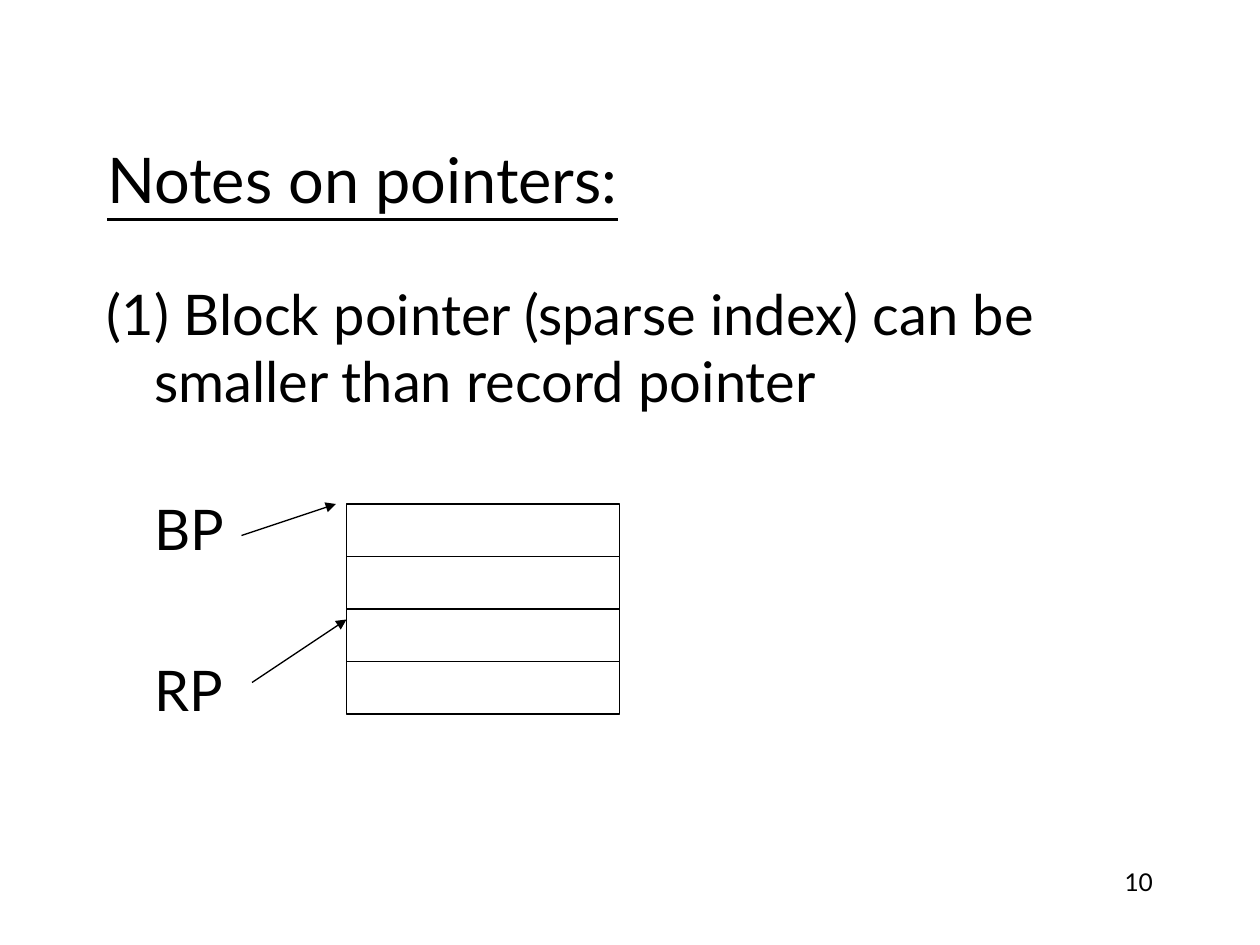
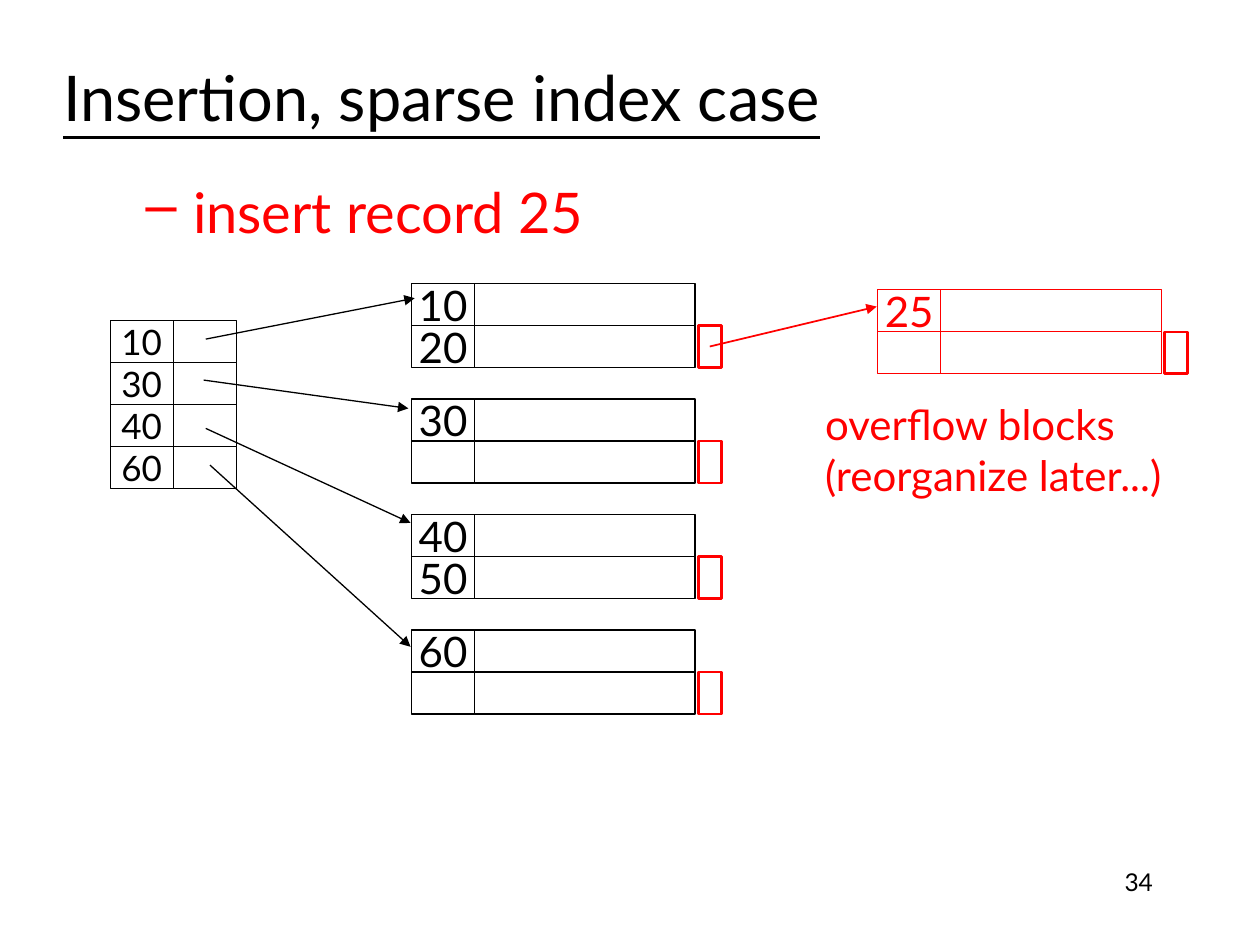
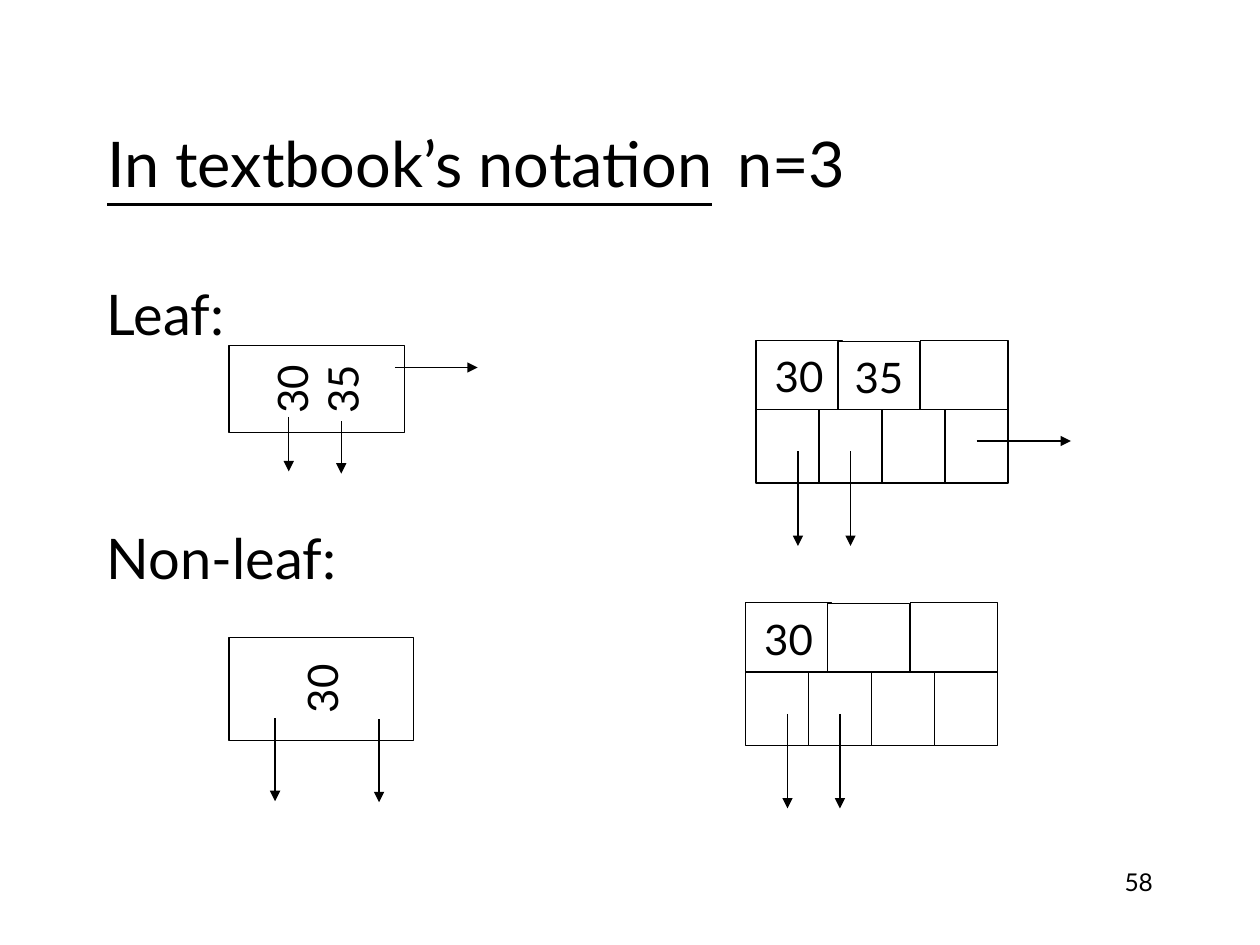
from dataclasses import dataclass
from typing import Any

from lxml.etree import SubElement
from pptx import Presentation
from pptx.dml.color import RGBColor
from pptx.enum.shapes import MSO_CONNECTOR as CONN, MSO_SHAPE as SHAPE
from pptx.enum.text import MSO_ANCHOR as ANCHOR, MSO_AUTO_SIZE as FIT, PP_ALIGN as ALIGN
from pptx.oxml.ns import qn
from pptx.util import Emu, Pt

# Shared look
PX = 7620  # EMU per px, 120 px to the inch
FONT = "Lato"
BLACK, RED, WHITE = "000000", "FF0000", "FFFFFF"
TITLE_ONLY = 5
NUMBER_BOX = (860, 820, 250, 60)
BODY_BOX = (90, 260, 1020, 540)
HANG = 45
ROW = 40  # height of one record on the insertion slide
KEY_W, RECORD_W = 60, 210

Box = tuple[int, int, int, int]


@dataclass
class Para:
    text: str
    size: int = 32
    color: str = BLACK
    underline: bool = False
    align: ALIGN = ALIGN.LEFT
    before: int = 0
    left: int = 0
    indent: int = 0
    bullet: str = ""
    tab: int = 0
    tail: str = ""  # plain text set at the tab stop


@dataclass
class Cell:
    box: Box
    lines: tuple[str, ...] = ()
    size: int = 24
    color: str = BLACK
    weight: float = 0.75
    rotation: int = 0


@dataclass
class Arrow:
    x1: int
    y1: int
    x2: int
    y2: int
    color: str = BLACK
    weight: float = 0.75


def px(n: int) -> Emu:
    return Emu(n * PX)


def rgb(color: str) -> RGBColor:
    return RGBColor.from_string(color)


def apply(obj: Any, values: dict[str, Any]) -> None:
    for name, value in values.items():
        setattr(obj, name, value)


# Text
def add_run(p: Any, text: str, para: Para, underline: bool) -> None:
    r = p.add_run()
    r.text = text
    apply(r.font, {"name": FONT, "size": Pt(para.size), "underline": underline})
    r.font.color.rgb = rgb(para.color)


def fill_text(tf: Any, paras: list[Para], anchor: ANCHOR, wrap: bool = True) -> None:
    apply(tf, {"auto_size": FIT.NONE, "word_wrap": wrap, "vertical_anchor": anchor})
    for i, para in enumerate(paras):
        p = tf.add_paragraph() if i else tf.paragraphs[0]
        apply(p, {"alignment": para.align, "space_before": Pt(para.before)})
        pPr = p._p.get_or_add_pPr()
        pPr.set("marL", str(px(para.left)))
        pPr.set("indent", str(px(para.indent)))
        if para.bullet:
            clr = SubElement(pPr, qn("a:buClr"))
            SubElement(clr, qn("a:srgbClr"), val=para.color)
            SubElement(pPr, qn("a:buChar"), char=para.bullet)
        if para.tab:
            tabs = SubElement(pPr, qn("a:tabLst"))
            SubElement(tabs, qn("a:tab"), pos=str(px(para.tab)), algn="l")
        add_run(p, para.text, para, para.underline)
        if para.tail:
            add_run(p, "\t" + para.tail, para, False)


def add_text(s: Any, box: Box, paras: list[Para], anchor: ANCHOR = ANCHOR.TOP) -> None:
    sp = s.shapes.add_textbox(*map(px, box))
    fill_text(sp.text_frame, paras, anchor)


# Shapes
def add_cell(s: Any, cell: Cell) -> None:
    sp = s.shapes.add_shape(SHAPE.RECTANGLE, *map(px, cell.box))
    sp.shadow.inherit = False
    sp.rotation = cell.rotation
    sp.fill.solid()
    sp.fill.fore_color.rgb = rgb(WHITE)
    sp.line.color.rgb = rgb(cell.color)
    sp.line.width = Pt(cell.weight)
    if cell.lines:
        paras = [Para(t, cell.size, cell.color, align=ALIGN.CENTER) for t in cell.lines]
        fill_text(sp.text_frame, paras, ANCHOR.MIDDLE, wrap=False)


def add_arrow(s: Any, a: Arrow) -> None:
    line = s.shapes.add_connector(CONN.STRAIGHT, *map(px, (a.x1, a.y1, a.x2, a.y2)))
    line.line.color.rgb = rgb(a.color)
    line.line.width = Pt(a.weight)
    SubElement(line.line._get_or_add_ln(), qn("a:tailEnd"), type="triangle")
    SubElement(line._element.spPr, qn("a:effectLst"))


def add_arrows(s: Any, arrows: list[Arrow]) -> None:
    for a in arrows:
        add_arrow(s, a)


def new_slide(prs: Any, number: int, box: Box, title: Para) -> Any:
    s = prs.slides.add_slide(prs.slide_layouts[TITLE_ONLY])
    sp = s.shapes.title
    apply(sp, dict(zip(("left", "top", "width", "height"), map(px, box))))
    fill_text(sp.text_frame, [title], ANCHOR.MIDDLE)
    add_text(s, NUMBER_BOX, [Para(str(number), 14, align=ALIGN.RIGHT)])
    return s


# Slide parts
def add_block(s: Any, x: int, y: int, keys: tuple[str, str], color: str = BLACK) -> None:
    """Two records with their keys and a red overflow pointer."""
    for i, key in enumerate(keys):
        top = y + i * ROW
        add_cell(s, Cell((x, top, KEY_W, ROW), (key,) if key else (), color=color))
        add_cell(s, Cell((x + KEY_W, top, RECORD_W, ROW), color=color))
    add_cell(s, Cell((x + KEY_W + RECORD_W + 3, y + ROW, 22, ROW), color=RED, weight=1.5))


def add_node(s: Any, x: int, y: int, keys: tuple[str, str, str]) -> None:
    """Three keys above four pointers, two of them in use."""
    for (dx, dy, w), key in zip(((0, 0, 82), (78, 1, 78), (157, 0, 83)), keys):
        add_cell(s, Cell((x + dx, y + dy, w, 68), (key,) if key else ()))
    for i in range(4):
        add_cell(s, Cell((x + i * 60, y + 66, 60, 70)))
    add_arrows(s, [Arrow(x + dx, y + 106, x + dx, y + 196) for dx in (40, 90)])


def pointers_slide(prs: Any) -> None:
    s = new_slide(prs, 10, (90, 110, 1020, 120),
                  Para("Notes on pointers:", 36, underline=True))
    add_text(s, BODY_BOX, [
        Para("(1) Block pointer (sparse index) can be smaller than record pointer",
             left=HANG, indent=-HANG),
        Para("BP", before=46, left=HANG),
        Para("RP", before=54, left=HANG),
    ])
    for i in range(4):
        add_cell(s, Cell((330, 480 + i * 50, 260, 50)))
    add_arrows(s, [Arrow(240, 650, 330, 590), Arrow(230, 510, 320, 480)])


def insertion_slide(prs: Any) -> None:
    s = new_slide(prs, 34, (48, 37, 1020, 110),
                  Para("Insertion, sparse index case", 36, underline=True))
    add_text(s, (72, 163, 522, 77),
             [Para("insert record 25", color=RED, left=100, indent=-45, bullet="–")],
             ANCHOR.MIDDLE)
    # Data blocks and the overflow block
    blocks = (("10", "20"), ("30", ""), ("40", "50"), ("60", ""))
    for i, keys in enumerate(blocks):
        add_block(s, 392, 270 + i * 110, keys)
    add_block(s, 836, 276, ("25", ""), RED)
    # Sparse index: the first key of each block
    for i, (key, _) in enumerate(blocks):
        top = 305 + i * ROW
        add_cell(s, Cell((105, top, KEY_W, ROW), (key,), size=20))
        add_cell(s, Cell((105 + KEY_W, top, KEY_W, ROW)))
    add_arrows(s, [
        Arrow(196, 323, 395, 284),
        Arrow(194, 362, 389, 389),
        Arrow(196, 408, 391, 498),
        Arrow(200, 443, 391, 616),
        Arrow(676, 330, 835, 292, RED, 1),
    ])
    add_text(s, (774, 374, 379, 108),
             [Para(t, 24, RED) for t in ("overflow blocks", "(reorganize later...)")],
             ANCHOR.MIDDLE)


def notation_slide(prs: Any) -> None:
    s = new_slide(prs, 58, (90, 80, 1020, 150),
                  Para("In textbook’s notation", 36, underline=True, tab=840, tail="n=3"))
    add_text(s, BODY_BOX, [Para("Leaf:"), Para("Non-leaf:", before=101)])
    # Short notation
    add_cell(s, Cell((260, 287, 83, 167), ("30", "35"), rotation=270))
    add_cell(s, Cell((257, 568, 98, 176), ("30",), rotation=270))
    # Textbook notation
    add_node(s, 720, 324, ("30", "35", ""))
    add_node(s, 710, 574, ("30", "", ""))
    add_arrows(s, [
        Arrow(376, 350, 455, 350),
        Arrow(275, 397, 275, 449),
        Arrow(325, 401, 325, 451),
        Arrow(262, 684, 262, 763),
        Arrow(361, 685, 361, 764),
        Arrow(930, 420, 1020, 420),
    ])


def main() -> None:
    prs = Presentation()
    apply(prs, {"slide_width": px(1200), "slide_height": px(900)})
    for build in (pointers_slide, insertion_slide, notation_slide):
        build(prs)
    prs.save("out.pptx")


if __name__ == "__main__":
    main()
